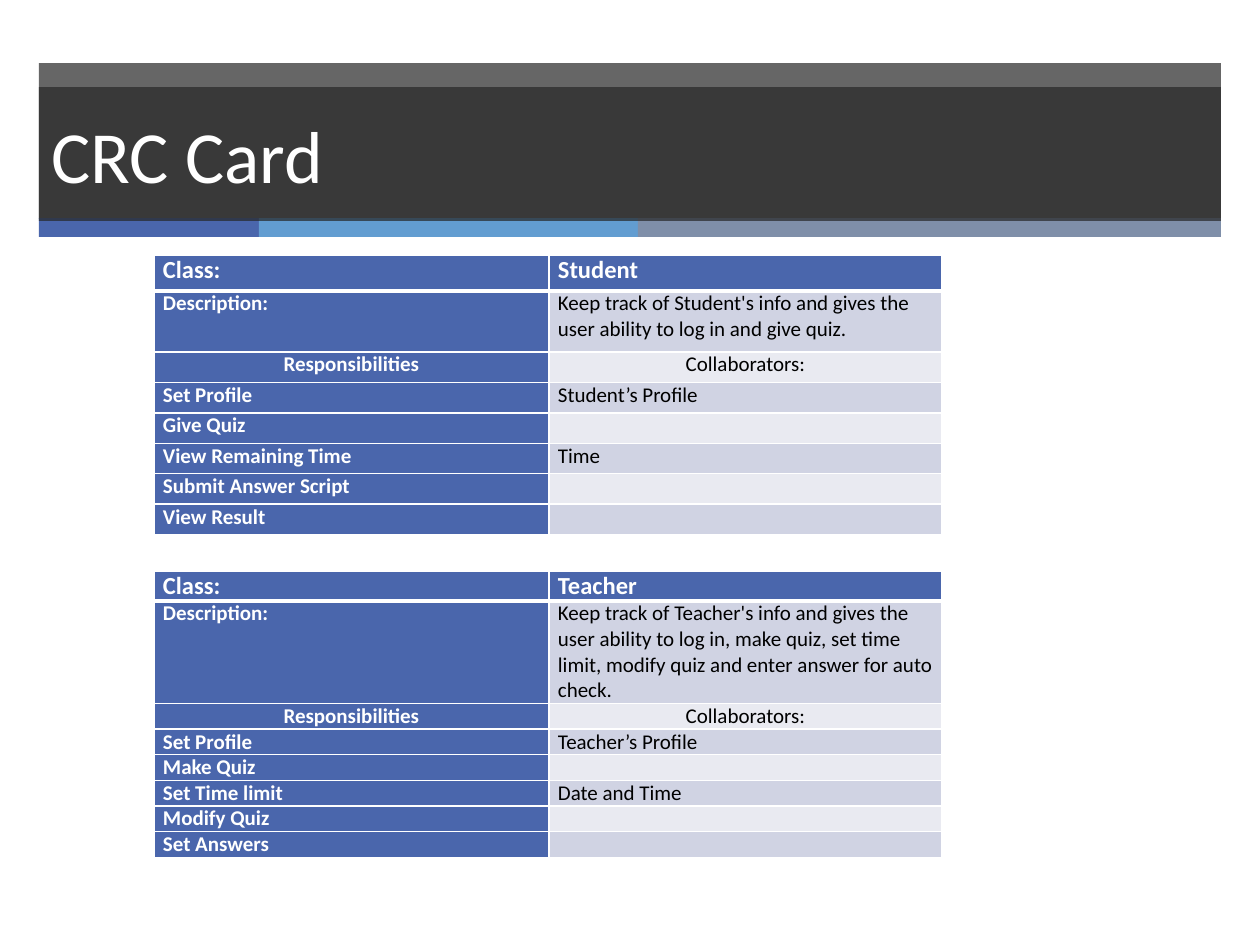
from lxml.etree import SubElement
from pptx import Presentation
from pptx.dml.color import RGBColor
from pptx.enum.shapes import MSO_SHAPE
from pptx.enum.text import MSO_ANCHOR, PP_ALIGN
from pptx.oxml.ns import qn
from pptx.util import Emu, Pt

SCALE = 914400 / 126
FONT = "Calibri"
COLORS = {
    "dark": "262626", "blue": "4A66AC", "sky": "629DD1", "slate": "7F8FA9",
    "white": "FFFFFF", "black": "000000", "odd": "D0D3E3", "even": "E9EAF1",
}


def px(n):
    return Emu(round(n * SCALE))


def rgb(name):
    return RGBColor.from_string(COLORS[name])


def add_rect(s, x, y, w, h, color, alpha=None):
    sp = s.shapes.add_shape(MSO_SHAPE.RECTANGLE, px(x), px(y), px(w), px(h))
    sp.shadow.inherit = False
    sp.line.fill.background()
    sp.fill.solid()
    sp.fill.fore_color.rgb = rgb(color)
    if alpha:
        clr = sp._element.spPr.find(qn("a:solidFill"))[0]
        SubElement(clr, qn("a:alpha"), val=str(alpha * 1000))
    return sp


def add_run(p, text, size, color, bold=False):
    r = p.add_run()
    r.text = text
    r.font.name, r.font.size, r.font.bold = FONT, Pt(size), bold
    r.font.color.rgb = rgb(color)


def add_banner(s, x, y, w, h, title):
    # Backing band and coloured strip
    add_rect(s, x, y, w, h - 18, "dark", 70)
    left = x
    for width, color in ((220, "blue"), (379, "sky"), (w - 599, "slate")):
        add_rect(s, left, y + h - 19, width, 19, color)
        left += width
    # Title bar
    tf = add_rect(s, x, y + 24, w, h - 40, "dark", 70).text_frame
    tf.word_wrap = True
    tf.vertical_anchor = MSO_ANCHOR.MIDDLE
    p = tf.paragraphs[0]
    p.alignment = PP_ALIGN.LEFT
    add_run(p, title, 42, "white")


def add_borders(cell, bottom):
    tcPr = cell._tc.get_or_add_tcPr()
    for side, width in (("L", 1), ("R", 1), ("T", 1), ("B", bottom)):
        ln = SubElement(tcPr, qn("a:ln" + side), w=str(Pt(width)))
        fill = SubElement(ln, qn("a:solidFill"))
        SubElement(fill, qn("a:srgbClr"), val=COLORS["white"])


def fill_cell(cell, text, row, col):
    head = row == 0
    label = head or col == 0
    size = 14 if head else 12
    add_borders(cell, 3 if head else 1)
    cell.fill.solid()
    cell.fill.fore_color.rgb = rgb("blue" if label else "odd" if row % 2 else "even")
    cell.margin_left = cell.margin_right = px(9)
    cell.margin_top = cell.margin_bottom = 0
    p = cell.text_frame.paragraphs[0]
    if row == 2:
        p.alignment = PP_ALIGN.CENTER
    if text:
        add_run(p, text, size, "white" if label else "black", label)
    else:
        SubElement(p._p, qn("a:endParaRPr"), sz=str(size * 100))


def add_card(s, x, y, w, h, head_h, desc_h, name, description, duties):
    rows = [("Class:", name), ("Description:", description),
            ("Responsibilities", "Collaborators:"), *duties]
    table = s.shapes.add_table(len(rows), 2, px(x), px(y), px(w), px(h)).table
    table.columns[0].width = px(395)
    table.columns[1].width = px(w - 395)
    duty_h = (h - head_h - desc_h) / (len(rows) - 2)
    for i, row in enumerate(rows):
        table.rows[i].height = px((head_h, desc_h)[i] if i < 2 else duty_h)
        for j, text in enumerate(row):
            fill_cell(table.cell(i, j), text, i, j)


prs = Presentation()
prs.slide_width, prs.slide_height = px(1260), px(945)
s = prs.slides.add_slide(prs.slide_layouts[6])

add_banner(s, 39, 63, 1182, 174, "CRC Card")
add_card(
    s, 154, 255, 788, 280, 36, 61, "Student",
    "Keep track of Student's info and gives the user ability to log in and give quiz.",
    [("Set Profile", "Student’s Profile"), ("Give Quiz", ""),
     ("View Remaining Time", "Time"), ("Submit Answer Script", ""),
     ("View Result", "")])
add_card(
    s, 154, 571, 788, 286, 30, 102, "Teacher",
    "Keep track of Teacher's info and gives the user ability to log in, make quiz, "
    "set time limit, modify quiz and enter answer for auto check.",
    [("Set Profile", "Teacher’s Profile"), ("Make Quiz", ""),
     ("Set Time limit", "Date and Time"), ("Modify Quiz", ""),
     ("Set Answers", "")])

prs.save("out.pptx")
